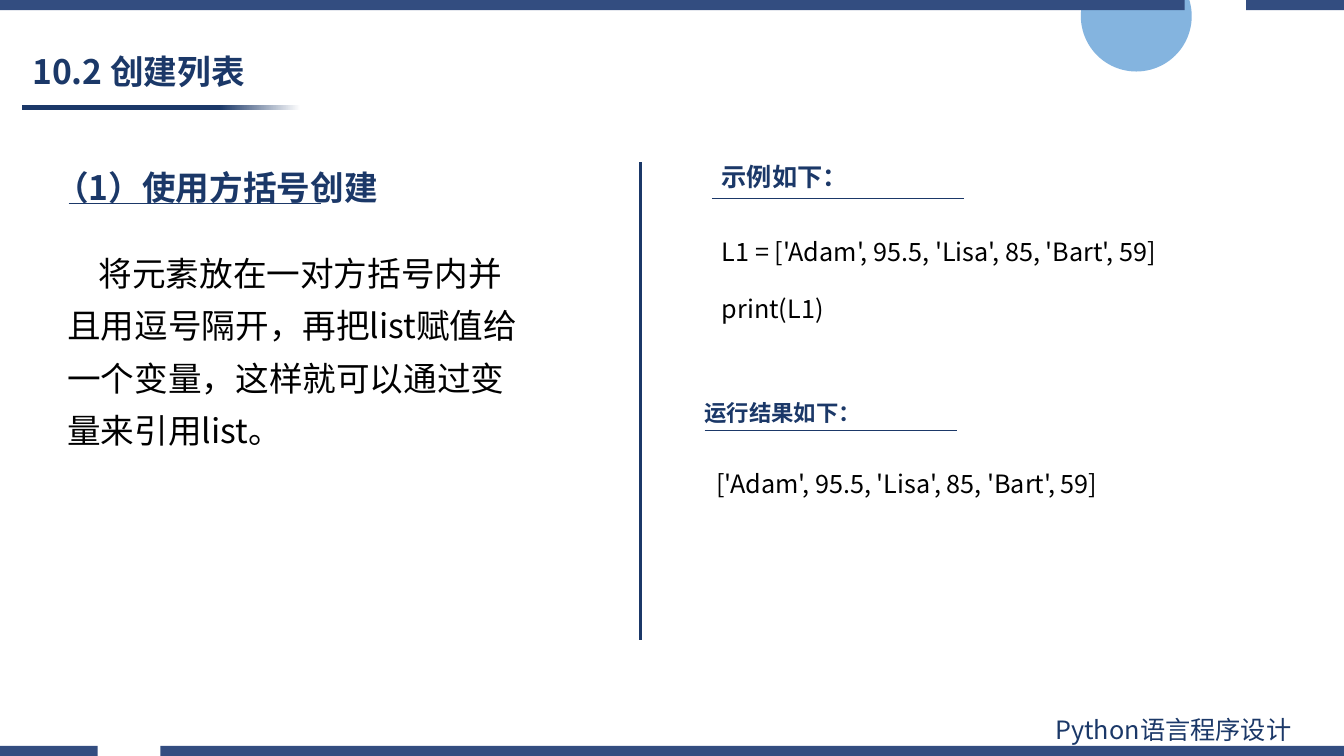
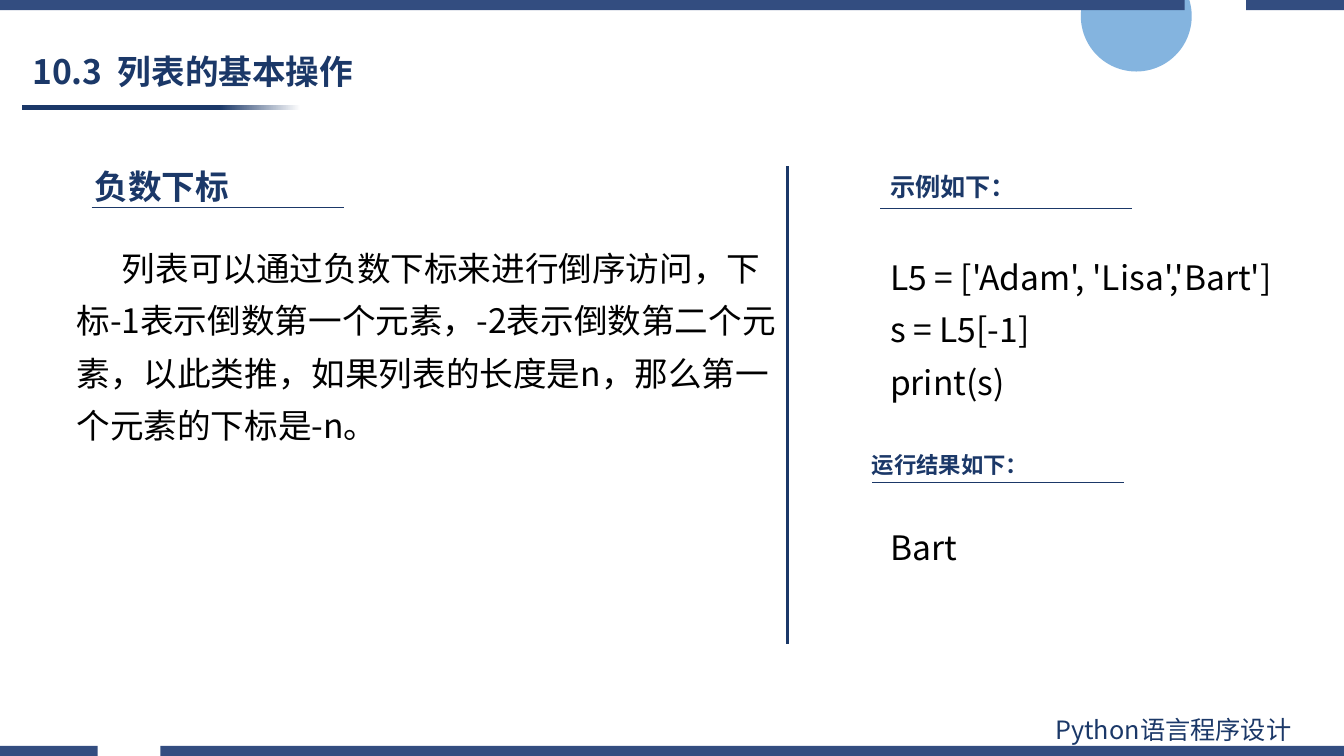
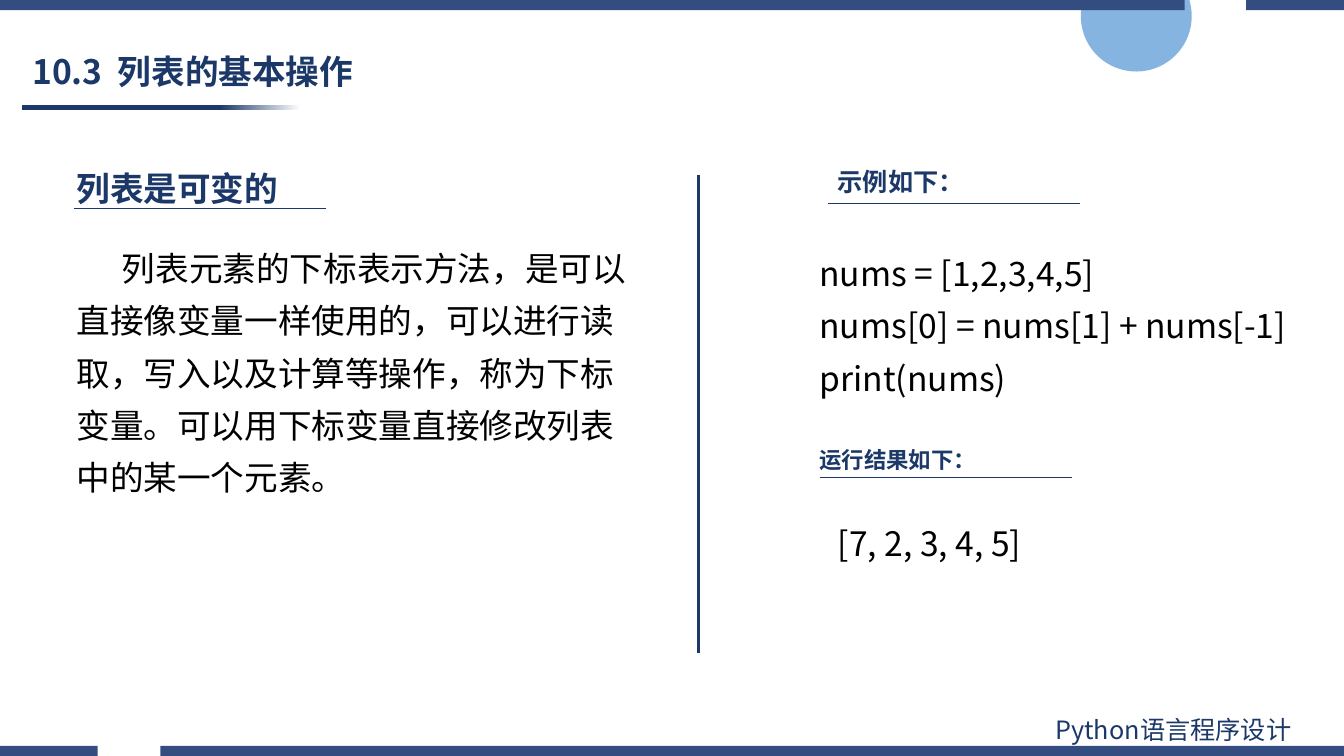
from lxml import etree
from pptx import Presentation
from pptx import util as u
from pptx.dml.color import RGBColor
from pptx.enum import shapes, text
from pptx.oxml import ns

Inches = u.Inches
NAVY = RGBColor(0x1B, 0x38, 0x68)
BAND = RGBColor(0x33, 0x4D, 0x80)
SKY = RGBColor(0x5B, 0x9B, 0xD5)
WHITE = RGBColor(0xFF, 0xFF, 0xFF)
BLACK = RGBColor(0, 0, 0)
FONT = "Noto Sans CJK SC"
WIDTH, HEIGHT = 13.33, 7.5
BAND_HEIGHT = 0.1
RULE_LENGTH = 2.5
DIVIDER_LENGTH = 4.74


def write(box, words, size, color=NAVY, bold=False, spacing=1.0, gap=0, indent=0,
          align=text.PP_ALIGN.LEFT):
    frame = box.text_frame
    frame.word_wrap = True
    frame.auto_size = text.MSO_AUTO_SIZE.NONE
    frame.text = words
    for para in frame.paragraphs:
        para.alignment = align
        para.line_spacing = spacing
        para.space_before = para.space_after = u.Pt(gap)
        if indent:
            para._p.get_or_add_pPr().set("indent", str(Inches(indent)))
        for span in para.runs:
            span.font.size = u.Pt(size)
            span.font.bold = bold
            span.font.name = FONT
            span.font.color.rgb = color
            east_asian = etree.SubElement(span.font._element, ns.qn("a:ea"))
            east_asian.set("typeface", FONT)


def draw_line(page, x, y, width, height, weight):
    line = page.shapes.add_connector(
        shapes.MSO_CONNECTOR.STRAIGHT,
        *map(Inches, (x, y, x + width, y + height)))
    line.line.color.rgb = NAVY
    line.line.width = u.Pt(weight)
    etree.SubElement(line._element.spPr, ns.qn("a:effectLst"))


LESSONS = [
    {
        "title": "10.2 创建列表",
        "divider": (6.35, 1.61),
        "heading": ("（1）使用方括号创建", (0.45, 1.61, 5.28, 0.5)),
        "body": ("将元素放在一对方括号内并且用逗号隔开，再把list赋值给一个变量，"
                 "这样就可以通过变量来引用list。", (0.57, 2.34, 4.75, 2.2)),
        "body_style": {"indent": 0.31, "gap": 6},
        "example_at": (7.06, 1.55),
        "code": ("L1 = ['Adam', 95.5, 'Lisa', 85, 'Bart', 59]\nprint(L1)",
                 (7.06, 2.21, 4.55, 1.53)),
        "code_style": {"size": 18, "gap": 6},
        "result_at": (6.89, 3.91),
        "result": ("['Adam', 95.5, 'Lisa', 85, 'Bart', 59]", (6.68, 4.6, 4.63, 0.4)),
        "result_style": {"size": 18, "align": text.PP_ALIGN.CENTER},
        "heading_rule": (0.68, 2.02),
    },
    {
        "title": "10.3  列表的基本操作",
        "divider": (7.81, 1.65),
        "heading": ("负数下标", (0.84, 1.6, 3.4, 0.5)),
        "body": ("列表可以通过负数下标来进行倒序访问，下标-1表示倒数第一个元素，"
                 "-2表示倒数第二个元素，以此类推，如果列表的长度是n，"
                 "那么第一个元素的下标是-n。", (0.66, 2.29, 7.15, 2.2)),
        "body_style": {"indent": 0.45},
        "example_at": (8.73, 1.65),
        "code": ("L5 = ['Adam', 'Lisa','Bart']\ns = L5[-1]\nprint(s)",
                 (8.73, 2.38, 4.47, 2.29)),
        "code_style": {"size": 24},
        "result_at": (8.55, 4.43),
        "result": ("Bart", (8.73, 5.18, 3.12, 0.5)),
        "result_style": {"size": 24},
        "heading_rule": (0.91, 2.06),
    },
    {
        "title": "10.3  列表的基本操作",
        "divider": (6.93, 1.74),
        "heading": ("列表是可变的", (0.66, 1.62, 3.4, 0.5)),
        "body": ("列表元素的下标表示方法，是可以直接像变量一样使用的，可以进行读取，"
                 "写入以及计算等操作，称为下标变量。可以用下标变量直接修改列表中的"
                 "某一个元素。", (0.66, 2.29, 5.71, 2.73)),
        "body_style": {"indent": 0.45},
        "example_at": (8.21, 1.6),
        "code": ("nums = [1,2,3,4,5]\nnums[0] = nums[1] + nums[-1]\nprint(nums)",
                 (8.03, 2.34, 5.14, 2.29)),
        "code_style": {"size": 24},
        "result_at": (8.03, 4.38),
        "result": ("[7, 2, 3, 4, 5]", (8.21, 5.14, 3.12, 0.5)),
        "result_style": {"size": 24},
        "heading_rule": (0.73, 2.07),
    },
]

deck = Presentation()
deck.slide_width, deck.slide_height = Inches(WIDTH), Inches(HEIGHT)

# Layout: title position, without date, footer and number
layout = deck.slide_layouts[5]
for holder in list(layout.placeholders):
    if holder.placeholder_format.type == shapes.PP_PLACEHOLDER.TITLE:
        holder.left, holder.top, holder.width, holder.height = map(
            Inches, (0.22, 0.45, 6.04, 0.56))
    else:
        holder.element.getparent().remove(holder.element)

pages = [deck.slides.add_slide(layout) for lesson in LESSONS]
first = pages[0].shapes

# Shared decoration: translucent circle
circle = first.add_shape(shapes.MSO_SHAPE.OVAL, *map(Inches, (10.72, -0.39, 1.1, 1.1)))
circle.fill.solid()
circle.fill.fore_color.rgb = SKY
sky_color = circle._element.spPr.find(".//" + ns.qn("a:srgbClr"))
etree.SubElement(sky_color, ns.qn("a:alpha")).set("val", "75000")

# Shared decoration: fading bar under the title
title_bar = first.add_shape(
    shapes.MSO_SHAPE.RECTANGLE, *map(Inches, (0.22, 1.04, 2.76, 0.05)))
title_bar.fill.gradient()
title_bar.fill.gradient_angle = 0
for stop, color, position in zip(
        title_bar.fill.gradient_stops, (NAVY, WHITE), (0.71, 1.0)):
    stop.color.rgb = color
    stop.position = position

# Shared decoration: broken bands along both edges
decorations = [circle, title_bar]
for top, spans in ((HEIGHT - BAND_HEIGHT, ((0, 0.97), (1.59, WIDTH))),
                   (0, ((0, 11.75), (12.36, WIDTH)))):
    bottom = top + BAND_HEIGHT
    outline = first.build_freeform(Inches(0), Inches(top))
    for left, right in spans:
        outline.move_to(Inches(left), Inches(top))
        outline.add_line_segments(
            [(Inches(x), Inches(y))
             for x, y in ((right, top), (right, bottom), (left, bottom))])
    band = outline.convert_to_shape()
    band.fill.solid()
    band.fill.fore_color.rgb = BAND
    decorations.append(band)
for shape in decorations:
    shape.line.fill.background()
    shape.shadow.inherit = False

# Shared course name, then everything shared goes to the layout
course = first.add_textbox(*map(Inches, (10.37, 7.04, 2.94, 0.4)))
write(course, "Python语言程序设计", 18)
for shape in decorations + [course]:
    layout.shapes.element.append(shape.element)

# Lessons
for page, lesson in zip(pages, LESSONS):
    title = page.shapes.title
    write(title, lesson["title"], 24, bold=True, spacing=0.9)
    title.text_frame.vertical_anchor = text.MSO_ANCHOR.MIDDLE

    draw_line(page, *lesson["divider"], 0, DIVIDER_LENGTH, 2)

    # Labels and their rules
    example_x, example_y = lesson["example_at"]
    result_x, result_y = lesson["result_at"]
    labels = [
        (*lesson["heading"], 24, lesson["heading_rule"]),
        ("示例如下：", (example_x, example_y, 3.4, 0.4), 18,
         (example_x, example_y + 0.42)),
        ("运行结果如下：", (result_x, result_y, 3.4, 0.37), 16,
         (result_x + 0.1, result_y + 0.36)),
    ]
    for words, place, size, rule in labels:
        write(page.shapes.add_textbox(*map(Inches, place)), words, size, bold=True)
        draw_line(page, *rule, RULE_LENGTH, 0, 0.5)

    # Explanation, code and output
    for part, style in (
            ("body", {"size": 24, "spacing": 1.3, **lesson["body_style"]}),
            ("code", {"spacing": 1.3, **lesson["code_style"]}),
            ("result", lesson["result_style"])):
        words, place = lesson[part]
        box = page.shapes.add_textbox(*map(Inches, place))
        write(box, words, color=BLACK, **style)

deck.save("out.pptx")
